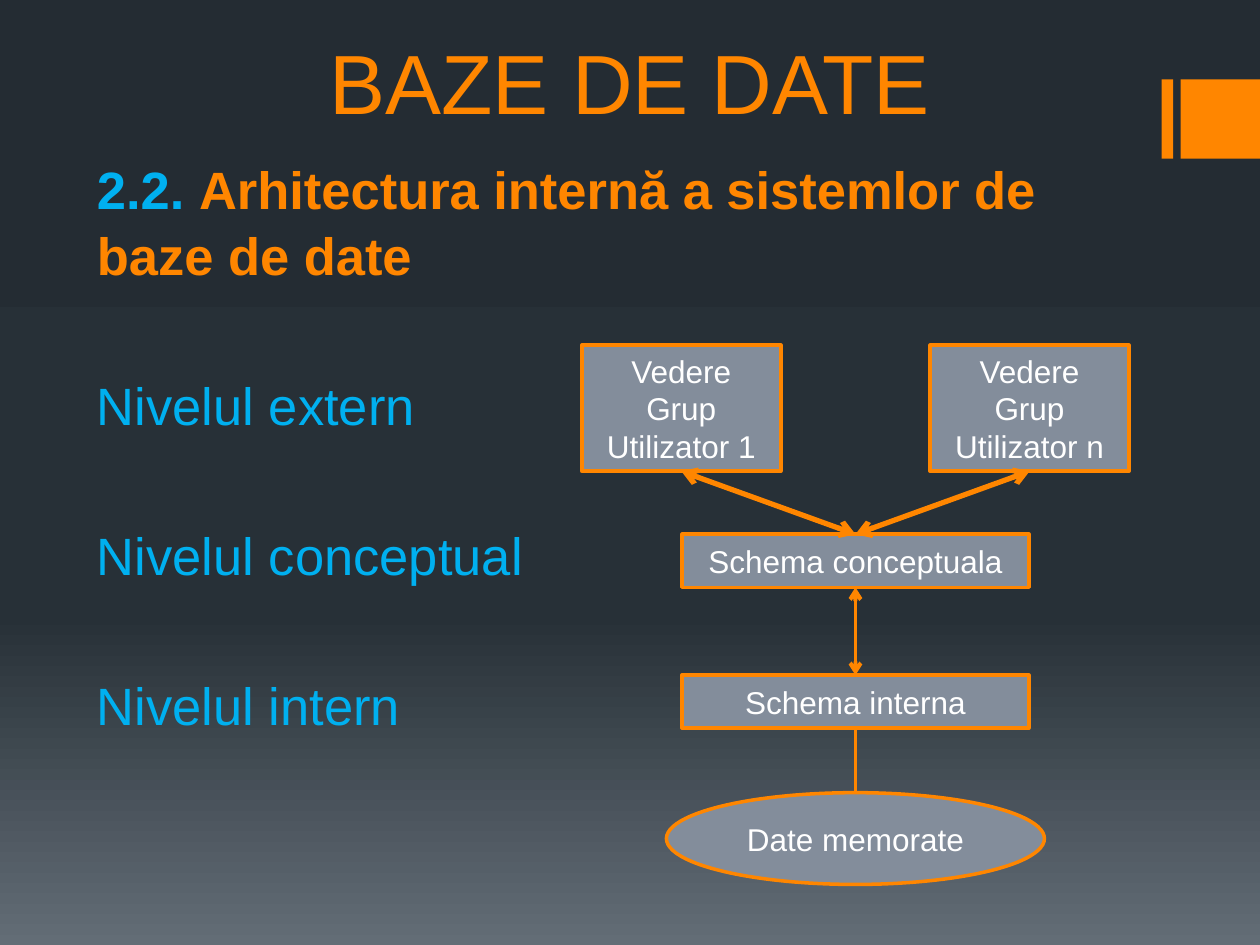
from copy import deepcopy

from pptx import Presentation
from pptx.dml.color import RGBColor
from pptx.enum.shapes import MSO_CONNECTOR as Connector, MSO_SHAPE as Shape
from pptx.enum.text import MSO_ANCHOR as Anchor, MSO_AUTO_SIZE as AutoSize, PP_ALIGN as Align
from pptx.oxml.ns import qn
from pptx.util import Cm, Pt

ORANGE = RGBColor(0xFF, 0x86, 0x00)
BLUE = RGBColor(0x00, 0xB0, 0xF0)
GREY = RGBColor(0x83, 0x8D, 0x9B)
WHITE = RGBColor(0xFF, 0xFF, 0xFF)
BACKDROP = [
    (0, RGBColor(0x24, 0x2C, 0x33)),
    (0.65, RGBColor(0x27, 0x30, 0x37)),
    (1, RGBColor(0x63, 0x6D, 0x76)),
]
FONT = "Arial"
TOP, BOTTOM = 0, 2


def write(para, text, size=18, color=WHITE, bold=False, align=Align.CENTER):
    para.alignment = align
    span = para.add_run()
    span.text = text
    span.font.name = FONT
    span.font.size = Pt(size)
    span.font.bold = bold
    span.font.color.rgb = color


def place(item, box):
    item.left, item.top, item.width, item.height = (Cm(length) for length in box)


def add_block(page, kind, box, fill, line=None, lines=()):
    block = page.shapes.add_shape(kind, *(Cm(length) for length in box))
    block.shadow.inherit = False
    block.fill.solid()
    block.fill.fore_color.rgb = fill
    if line is None:
        block.line.fill.background()
    else:
        block.line.color.rgb = line
        block.line.width = Pt(2)
    frame = block.text_frame
    frame.word_wrap = True
    frame.vertical_anchor = Anchor.MIDDLE
    for index, text in enumerate(lines):
        write(frame.add_paragraph() if index else frame.paragraphs[0], text)
    return block


def join(page, upper, lower, width=2.25, arrows=True):
    link = page.shapes.add_connector(Connector.STRAIGHT, 0, 0, 0, 0)
    link.begin_connect(upper, BOTTOM)
    link.end_connect(lower, TOP)
    link.line.color.rgb = ORANGE
    link.line.width = Pt(width)
    if arrows:
        outline = link.line._get_or_add_ln()
        for end in ("a:headEnd", "a:tailEnd"):
            outline.append(outline.makeelement(qn(end), {"type": "arrow"}))
    properties = link._element.spPr
    properties.append(properties.makeelement(qn("a:effectLst"), {}))


def paint_background(page):
    fill = page.background.fill
    fill.gradient()
    fill.gradient_angle = 270
    stops = page.element.find(".//" + qn("a:gsLst"))
    stops.append(deepcopy(stops[0]))
    for stop, (position, color) in zip(fill.gradient_stops, BACKDROP):
        stop.position = position
        stop.color.rgb = color


def add_marker(page, box):
    left, top, width, height = box
    add_block(page, Shape.RECTANGLE, (left, top, 0.23, height), ORANGE)
    add_block(page, Shape.RECTANGLE, (left + width - height, top, height, height), ORANGE)


def fill_title(page, box):
    title = page.shapes.title
    place(title, box)
    frame = title.text_frame
    frame.auto_size = AutoSize.NONE
    frame.vertical_anchor = Anchor.BOTTOM
    write(frame.paragraphs[0], "BAZE DE DATE", size=48, color=ORANGE)


def fill_levels(page, box):
    body = page.placeholders[1]
    place(body, box)
    frame = body.text_frame
    frame.auto_size = AutoSize.NONE
    frame.vertical_anchor = Anchor.TOP
    heading = frame.paragraphs[0]
    heading.line_spacing = 1.05
    heading.space_before = Pt(6)
    write(heading, "2.2. ", size=30, color=BLUE, bold=True, align=Align.LEFT)
    write(heading, "Arhitectura internă a sistemlor de baze de date",
          size=30, color=ORANGE, bold=True, align=Align.LEFT)
    for level in ("extern", "conceptual", "intern"):
        para = frame.add_paragraph()
        para.line_spacing = 1.05
        para.space_before = Pt(48)
        write(para, f"Nivelul {level}", size=30, color=BLUE, align=Align.JUSTIFY)


def add_architecture(page, box):
    left, top, width, height = box
    view_width, view_height = 4.01, 2.54
    schema_width, schema_height = 6.99, 1.07
    store_width, store_height = 7.62, 1.85

    def add_node(kind, x, y, node_width, node_height, lines):
        return add_block(page, kind, (left + x, top + y, node_width, node_height),
                         GREY, ORANGE, lines)

    views = [
        add_node(Shape.FLOWCHART_PROCESS, x, 0, view_width, view_height,
                 ("Vedere", "Grup", f"Utilizator {user}"))
        for x, user in ((0, "1"), (width - view_width, "n"))
    ]
    conceptual, internal = [
        add_node(Shape.FLOWCHART_PROCESS, (width - schema_width) / 2, y,
                 schema_width, schema_height, (text,))
        for y, text in ((3.81, "Schema conceptuala"), (6.65, "Schema interna"))
    ]
    store = add_node(Shape.OVAL, (width - store_width) / 2, height - store_height,
                     store_width, store_height, ("Date memorate",))
    for view in views:
        join(page, view, conceptual, width=3)
    join(page, conceptual, internal)
    join(page, internal, store, arrows=False)


def main():
    deck = Presentation()
    deck.slide_width, deck.slide_height = Cm(25.4), Cm(19.05)
    page = deck.slides.add_slide(deck.slide_layouts[0])
    paint_background(page)
    add_marker(page, (23.42, 1.6, 1.98, 1.6))
    fill_title(page, (1.9, 0, 21.6, 2.77))
    fill_levels(page, (1.7, 2.97, 22.02, 15.04))
    add_architecture(page, (11.73, 6.96, 11.03, 10.87))
    deck.save("out.pptx")


if __name__ == "__main__":
    main()
